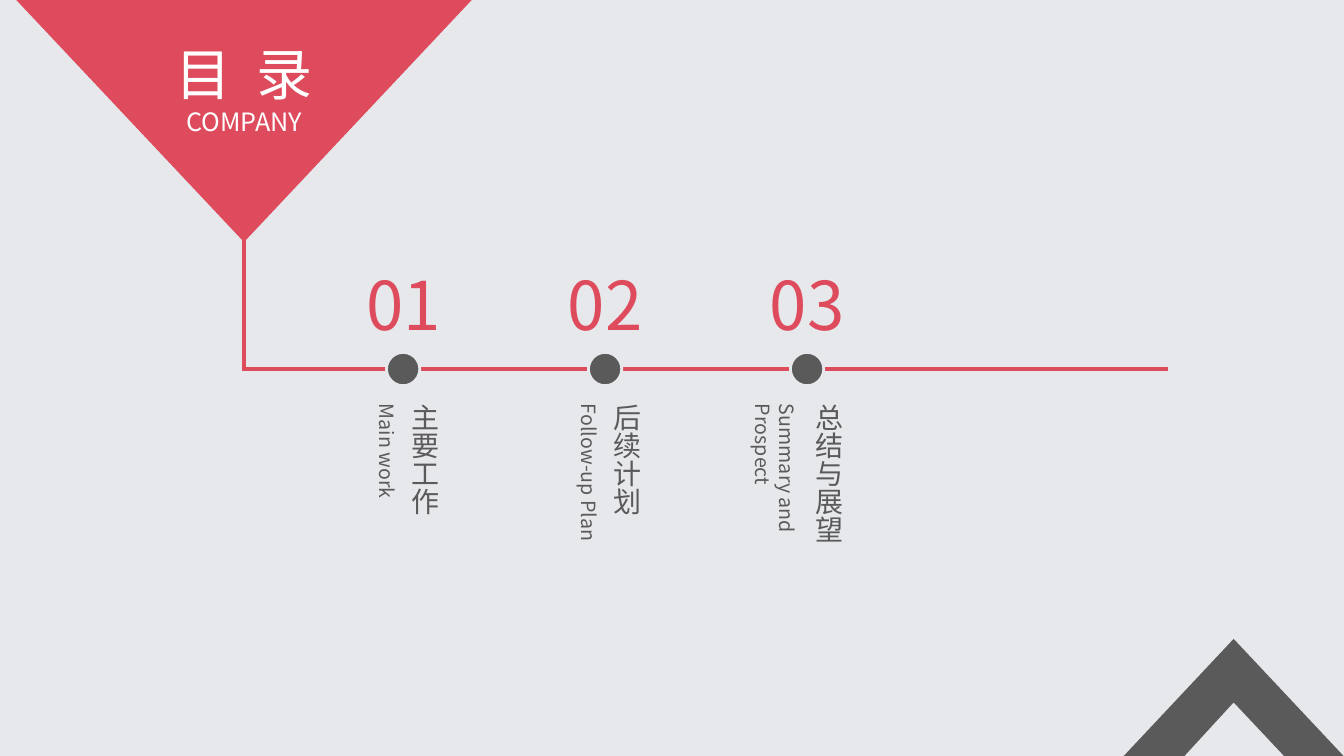
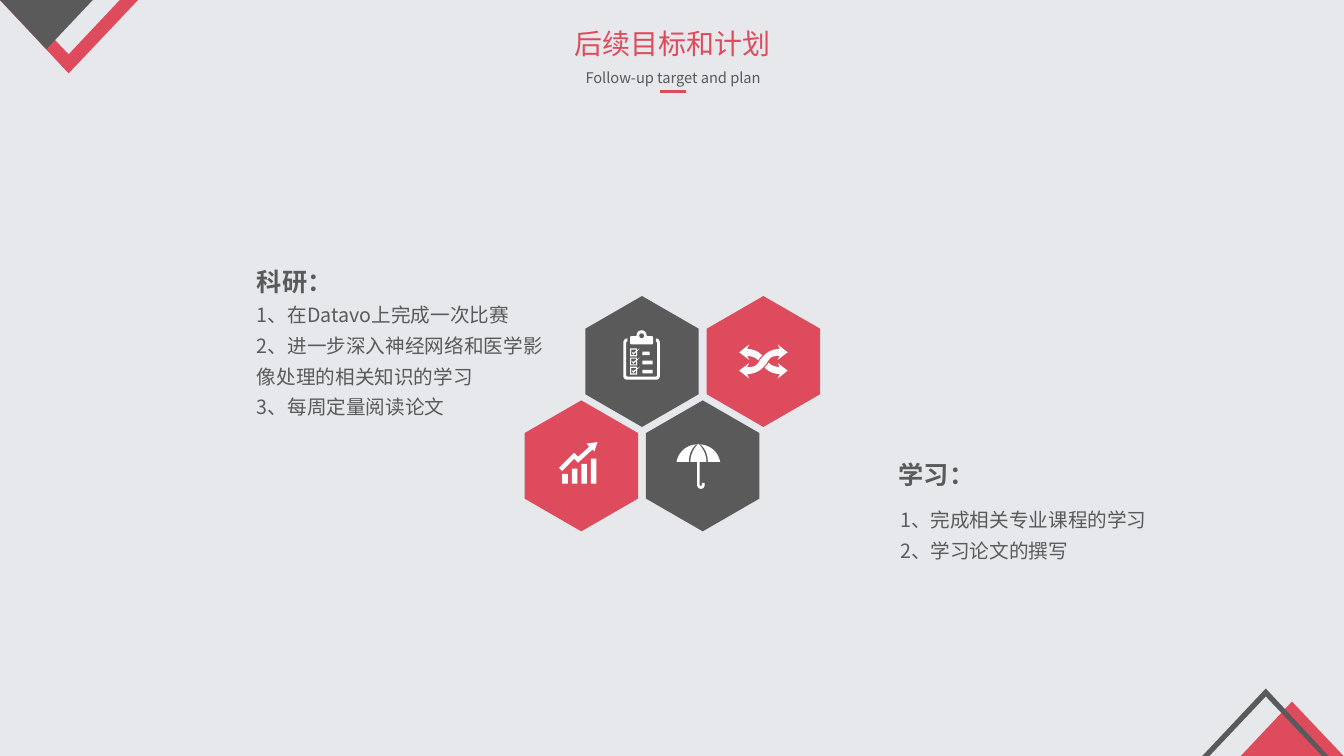
from dataclasses import dataclass

from lxml import etree
from pptx import Presentation
from pptx.dml.color import RGBColor
from pptx.enum import shapes, text
from pptx.oxml.ns import qn
from pptx.util import Cm, Pt


@dataclass(frozen=True)
class Theme:
    font: str = "Noto Sans CJK SC"
    red: RGBColor = RGBColor(0xDE, 0x4B, 0x5D)
    grey: RGBColor = RGBColor(0x5A, 0x5A, 0x5A)
    paper: RGBColor = RGBColor(0xE7, 0xE8, 0xEC)
    white: RGBColor = RGBColor(0xFF, 0xFF, 0xFF)
    number: float = 48
    cover: float = 40
    title: float = 20
    heading: float = 18
    body: float = 14
    caption: float = 10.5


THEME = Theme()
LEFT, CENTER = text.PP_ALIGN.LEFT, text.PP_ALIGN.CENTER
RECT = shapes.MSO_SHAPE.RECTANGLE
ROUNDED = shapes.MSO_SHAPE.ROUNDED_RECTANGLE
OVAL = shapes.MSO_SHAPE.OVAL

AGENDA = [  # number, heading, subtitle, offset of the subtitle from its dot
    ("01", "主要工作", "Main work", -1.09),
    ("02", "后续计划", "Follow-up Plan", -1.09),
    ("03", "总结与展望", "Summary and Prospect", -1.2),
]
RESEARCH = [
    "1、在Datavo上完成一次比赛",
    "2、进一步深入神经网络和医学影像处理的相关知识的学习",
    "3、每周定量阅读论文",
]
STUDY = ["1、完成相关专业课程的学习", "2、学习论文的撰写"]


def write(frame, lines, align=LEFT, spacing=1.0, wrap=True, vertical=False):
    """Fill a frame with (text, size, colour, bold) lines, without bullets."""
    frame.text = "\n".join(line[0] for line in lines)
    frame.word_wrap = wrap
    frame.auto_size = text.MSO_AUTO_SIZE.NONE
    frame.vertical_anchor = text.MSO_ANCHOR.TOP
    if vertical:
        frame._txBody.bodyPr.set("vert", "eaVert")
    for paragraph, (_, size, colour, bold) in zip(frame.paragraphs, lines):
        paragraph.alignment = align
        paragraph.line_spacing = spacing
        paragraph.space_before = Pt(0)
        properties = paragraph._p.get_or_add_pPr()
        properties.set("marL", "0")
        properties.set("indent", "0")
        etree.SubElement(properties, qn("a:buNone"))
        for run in paragraph.runs:
            run.font.size = Pt(size)
            run.font.bold = bold
            run.font.color.rgb = colour
            run.font.name = THEME.font
            east_asian = etree.SubElement(run._r.rPr, qn("a:ea"))
            east_asian.set("typeface", THEME.font)


def place(holder, x, y, w, h):
    holder.left, holder.top, holder.width, holder.height = map(Cm, (x, y, w, h))
    return holder.text_frame


def label(slide, x, y, w, h, line, **layout):
    box = slide.shapes.add_textbox(Cm(x), Cm(y), Cm(w), Cm(h))
    write(box.text_frame, [line], **layout)


def paint(shape, fill, edge=None):
    shape.shadow.inherit = False
    shape.fill.solid()
    shape.fill.fore_color.rgb = fill
    if edge is None:
        shape.line.fill.background()
    else:
        shape.line.color.rgb = edge
        shape.line.width = Pt(2)


def block(slide, kind, x, y, w, h, fill, edge=None):
    shape = slide.shapes.add_shape(kind, Cm(x), Cm(y), Cm(w), Cm(h))
    paint(shape, fill, edge)


def rule(slide, x1, y1, x2, y2, width):
    line = slide.shapes.add_connector(
        shapes.MSO_CONNECTOR.STRAIGHT, Cm(x1), Cm(y1), Cm(x2), Cm(y2))
    line.line.color.rgb = THEME.red
    line.line.width = Pt(width)
    etree.SubElement(line._element.spPr, qn("a:effectLst"))


def flatten(contour, steps=10):
    """Turn (x, y) points and six-number cubic curves into points."""
    points = [contour[0]]
    for part in contour[1:]:
        if len(part) == 2:
            points.append(part)
            continue
        knots = [points[-1], part[:2], part[2:4], part[4:]]
        for step in range(1, steps + 1):
            t = step / steps
            weights = ((1 - t) ** 3, 3 * t * (1 - t) ** 2, 3 * t * t * (1 - t), t ** 3)
            points.append(tuple(
                sum(weight * knot[axis] for weight, knot in zip(weights, knots))
                for axis in (0, 1)))
    return points


def outline(slide, contours, fill, origin=(0, 0)):
    """Draw closed contours, in centimetres from the origin, as one shape."""
    paths = [[(Cm(origin[0] + x), Cm(origin[1] + y)) for x, y in flatten(contour)]
             for contour in contours]
    builder = slide.shapes.build_freeform(*paths[0][0])
    for index, points in enumerate(paths):
        if index:
            builder.move_to(*points[0])
        builder.add_line_segments(points[1:], close=True)
    paint(builder.convert_to_shape(), fill)


def flipped(contour, sx, sy):
    return [tuple(value * (sx, sy)[i % 2] for i, value in enumerate(part))
            for part in contour]


def rectangle(x, y, w, h):
    return [(x, y), (x + w, y), (x + w, y + h), (x, y + h)]


def hexagon(slide, cx, cy, fill):
    w, h = 1.43, 1.65
    outline(slide, [[(0, -h), (w, -h / 2), (w, h / 2),
                     (0, h), (-w, h / 2), (-w, -h / 2)]], fill, (cx, cy))


def clipboard_icon(slide, cx, cy):
    origin = (cx - 0.01, cy)
    frame = [
        (-0.36, -0.58), (-0.42, -0.58, -0.46, -0.53, -0.46, -0.47),
        (-0.46, 0.36), (-0.46, 0.42, -0.42, 0.46, -0.36, 0.46),
        (0.36, 0.46), (0.42, 0.46, 0.46, 0.42, 0.46, 0.36),
        (0.46, -0.47), (0.46, -0.53, 0.42, -0.58, 0.36, -0.58),
        (0.36, -0.5), (0.38, -0.5, 0.39, -0.48, 0.39, -0.46),
        (0.39, 0.34), (0.39, 0.37, 0.37, 0.38, 0.35, 0.38),
        (-0.35, 0.38), (-0.37, 0.38, -0.39, 0.37, -0.39, 0.34),
        (-0.39, -0.46), (-0.39, -0.48, -0.38, -0.5, -0.36, -0.5)]
    outline(slide, [frame], THEME.white, origin)
    x, y = origin
    block(slide, ROUNDED, x - 0.29, y - 0.64, 0.58, 0.21, THEME.white)
    block(slide, OVAL, x - 0.13, y - 0.79, 0.26, 0.28, THEME.white)
    block(slide, OVAL, x - 0.06, y - 0.71, 0.12, 0.12, THEME.grey)
    tick = [(-0.26, -0.25), (-0.21, -0.22), (-0.04, -0.33), (-0.21, -0.17)]
    for row, length in enumerate((0.18, 0.26, 0.26)):
        row_origin = (x, y + 0.23 * row)
        box = [rectangle(-0.29, -0.33, 0.18, 0.2), rectangle(-0.26, -0.3, 0.12, 0.14)]
        outline(slide, box, THEME.white, row_origin)
        outline(slide, [tick, rectangle(0.02, -0.25, length, 0.09)],
                THEME.white, row_origin)


def shuffle_icon(slide, cx, cy):
    half = [(0.08, 0.05), (0.15, -0.08, 0.2, -0.15, 0.41, -0.14),
            (0.36, -0.04), (0.61, -0.23), (0.36, -0.43), (0.41, -0.32),
            (0.13, -0.3, 0.03, -0.18, -0.08, -0.05)]
    tail = [(0.61, 0.23), (0.36, 0.43), (0.41, 0.32),
            (0.2, 0.3, 0.1, 0.23, 0.03, 0.15), (0.06, 0.13, 0.1, 0.08, 0.13, 0.03),
            (0.18, 0.08, 0.25, 0.13, 0.41, 0.14), (0.36, 0.04)]
    band = half + flipped(half, -1, -1)[1:]
    outline(slide, [band, tail, flipped(tail, -1, -1)], THEME.white, (cx, cy))


def growth_icon(slide, cx, cy):
    arrow = [(0.33, -0.36), (0.41, -0.6), (0.13, -0.56), (0.2, -0.48),
             (-0.08, -0.23), (-0.18, -0.33), (-0.56, 0.05), (-0.48, 0.13),
             (-0.18, -0.18), (-0.08, -0.08), (0.28, -0.41)]
    outline(slide, [arrow], THEME.white, (cx, cy))
    for index, height in enumerate((0.25, 0.38, 0.5, 0.63)):
        block(slide, RECT, cx - 0.48 + 0.24 * index, cy + 0.45 - height,
              0.14, height, THEME.white)


def umbrella_icon(slide, cx, cy):
    side = [(-0.55, -0.1), (-0.5, -0.36, -0.29, -0.53, -0.04, -0.54),
            (-0.09, -0.52, -0.24, -0.38, -0.24, -0.1)]
    middle = [(-0.2, -0.1), (-0.2, -0.1, -0.22, -0.34, 0, -0.56),
              (0.22, -0.34, 0.2, -0.1, 0.2, -0.1)]
    handle = [(-0.03, -0.1), (-0.03, 0.48), (-0.03, 0.61, 0.16, 0.61, 0.16, 0.48),
              (0.16, 0.43), (0.09, 0.43), (0.09, 0.47),
              (0.09, 0.52, 0.03, 0.52, 0.03, 0.47), (0.03, -0.1)]
    for part in (side, middle, flipped(side, -1, 1), handle):
        outline(slide, [part], THEME.white, (cx - 0.11, cy))


def agenda_slide(prs):
    slide = prs.slides.add_slide(prs.slide_layouts[5])
    axis_x, axis_y = 6.15, 9.3
    rule(slide, axis_x, 6.05, axis_x, 9.35, 2.5)
    rule(slide, 29.44, axis_y, axis_x, axis_y, 2.5)
    outline(slide, [[(0.41, 0), (11.89, 0), (axis_x, 6.1)]], THEME.red)
    title = slide.shapes.title
    slide.shapes._spTree.append(title._element)  # bring in front of the triangle
    frame = place(title, 4.04, 0.86, 4.22, 2.72)
    write(frame, [("目 录", THEME.cover, THEME.white, False),
                  ("COMPANY", THEME.heading, THEME.white, False)], CENTER, wrap=False)
    frame.paragraphs[0].runs[0]._r.rPr.set("spc", "450")

    for index, (number, heading, subtitle, offset) in enumerate(AGENDA):
        x = 10.16 + 5.09 * index
        block(slide, OVAL, x - 0.42, axis_y - 0.42, 0.84, 0.84, THEME.grey, THEME.paper)
        label(slide, x - 1.57, 6.5, 3.15, 2.31,
              (number, THEME.number, THEME.red, False), align=CENTER)
        label(slide, x - 0.28, 9.93, 1.37, 5.46,
              (heading, THEME.title, THEME.grey, False), vertical=True)
        label(slide, x + offset, 9.93, 1.12, 5.82,
              (subtitle, THEME.body, THEME.grey, False), vertical=True)
    outline(slide, [[(31.09, 16.1), (33.86, 19.05), (32.36, 19.05), (31.09, 17.7),
                     (29.85, 19.05), (28.32, 19.05)]], THEME.grey)


def corner_marks(slide):
    outline(slide, [[(1.73, 1.85), (3.48, 0), (3.02, 0), (1.73, 1.37),
                     (0.43, 0), (0, 0)]], THEME.red)
    outline(slide, [[(1.17, 1.24), (2.34, 0), (0, 0)]], THEME.grey)
    outline(slide, [[(32.56, 17.68), (31.27, 19.05), (33.86, 19.05)]], THEME.red)
    outline(slide, [[(33.48, 19.05), (33.32, 19.05), (31.9, 17.55), (30.48, 19.05),
                     (30.3, 19.05), (31.9, 17.35)]], THEME.grey)


def plan_slide(prs):
    slide = prs.slides.add_slide(prs.slide_layouts[3])
    corner_marks(slide)
    write(place(slide.shapes.title, 14.2, 0.53, 5.51, 1.12),
          [("后续目标和计划", THEME.title, THEME.red, False)], CENTER, wrap=False)
    label(slide, 12.52, 1.47, 8.89, 0.79,
          ("Follow-up target and plan", THEME.caption, THEME.grey, False),
          align=CENTER, spacing=1.3)
    rule(slide, 16.64, 2.31, 17.3, 2.31, 1.75)

    pitch_x, pitch_y = 3.06, 2.63
    icons = [[(clipboard_icon, THEME.grey), (shuffle_icon, THEME.red)],
             [(growth_icon, THEME.red), (umbrella_icon, THEME.grey)]]
    for row, cells in enumerate(icons):
        for column, (icon, fill) in enumerate(cells):
            centre = 16.18 + pitch_x * (column - row / 2), 9.11 + pitch_y * row
            hexagon(slide, *centre, fill)
            icon(slide, *centre)

    def items(entries):
        return [(entry, THEME.body, THEME.grey, False) for entry in entries]

    research, study = slide.placeholders[1], slide.placeholders[2]
    write(place(research, 6.22, 6.35, 7.92, 4.29),
          [("科研：", THEME.heading, THEME.grey, True)] + items(RESEARCH), spacing=1.3)
    label(slide, 22.4, 11.46, 3.33, 1.02, ("学习：", THEME.heading, THEME.grey, True))
    write(place(study, 22.43, 12.5, 7.54, 1.73), items(STUDY), spacing=1.3)


def main():
    prs = Presentation()
    prs.slide_width, prs.slide_height = Cm(33.87), Cm(19.05)
    backdrop = prs.slide_master.background.fill
    backdrop.solid()
    backdrop.fore_color.rgb = THEME.paper
    agenda_slide(prs)
    plan_slide(prs)
    prs.save("out.pptx")


if __name__ == "__main__":
    main()
